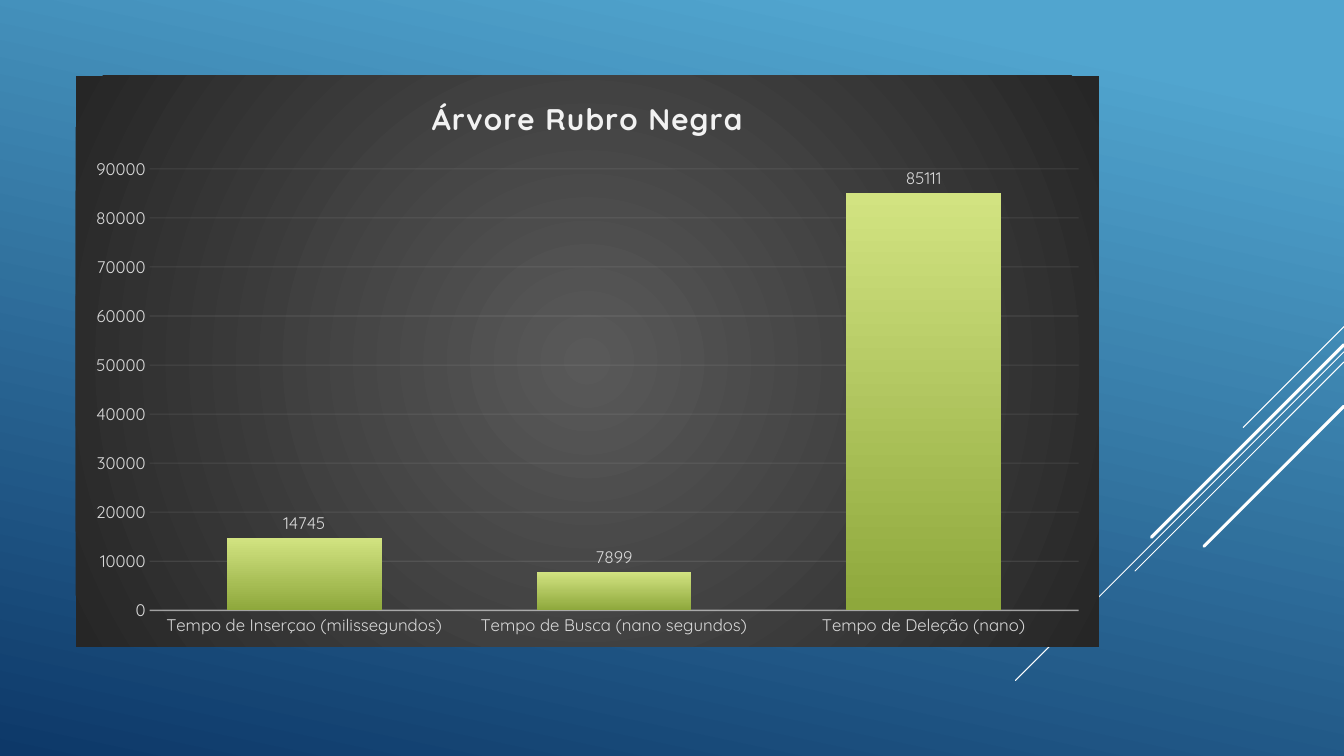
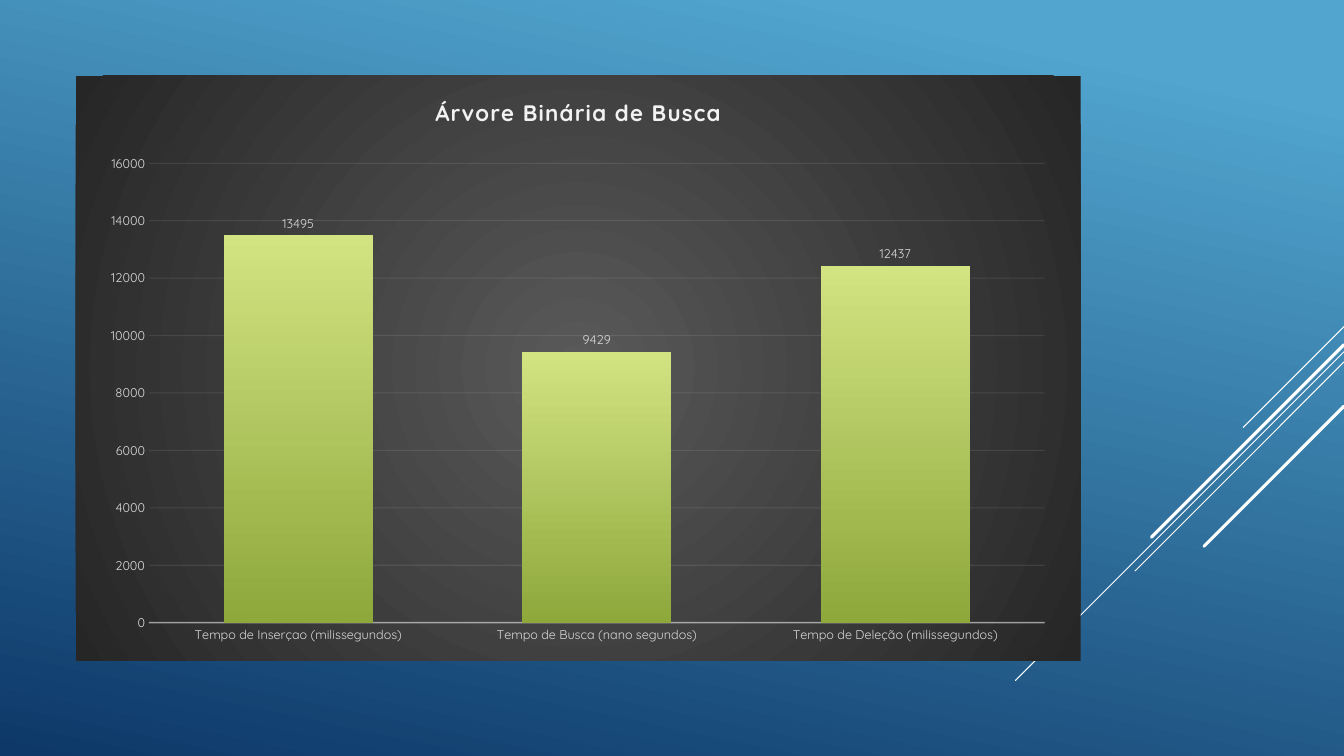
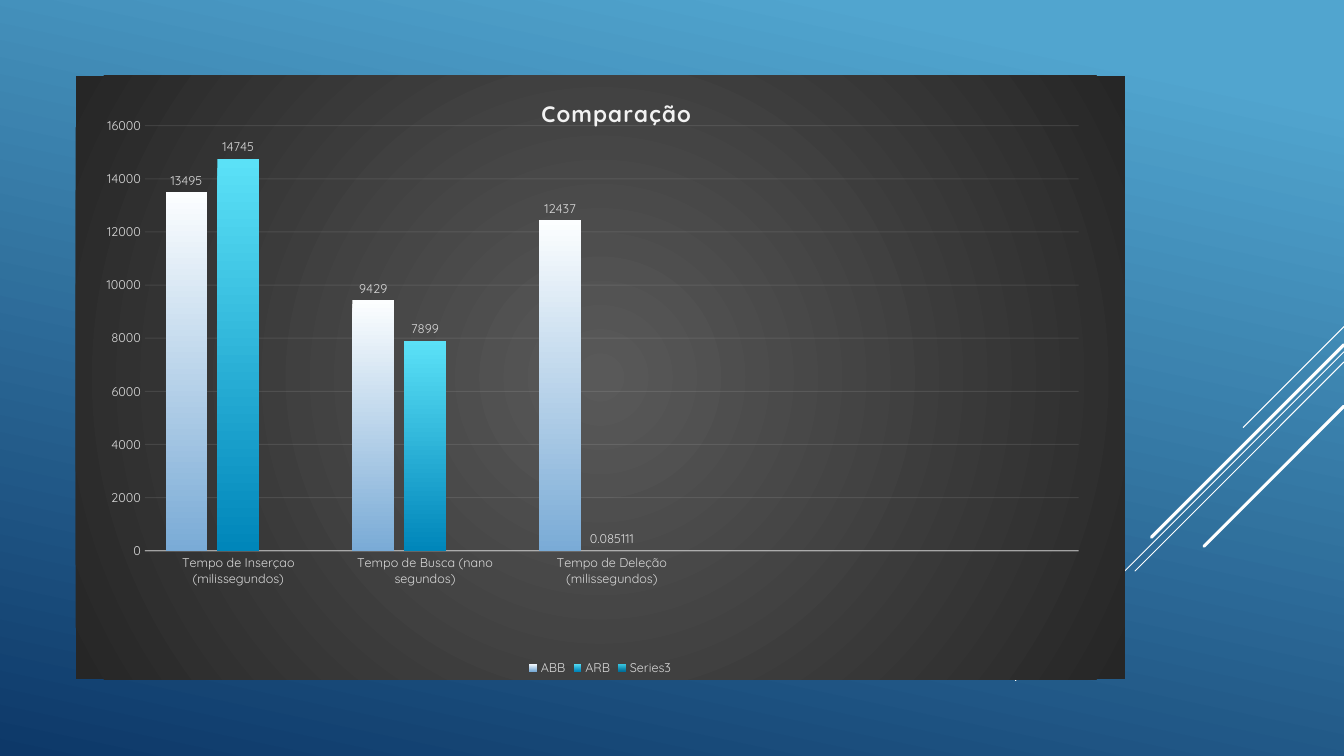
"""Build three chart slides about search tree timings."""
from dataclasses import dataclass

from pptx import Presentation
from pptx import util as u
from pptx.chart import data as cd
from pptx.dml import color as col
from pptx.enum import chart as ec, shapes as es
from pptx.oxml import ns, parse_xml


@dataclass(frozen=True)
class Theme:
    """Colours, fonts and sizes shared by the slides."""
    font: str = "Quicksand"
    white: str = "FFFFFF"
    pale: str = "F2F2F2"
    soft: str = "D9D9D9"
    sky: tuple = ("51A5CF", "0D3868")
    panel: tuple = ("595959", "262626")
    lime: tuple = ("D2E381", "8EA83C")
    ice: tuple = ("FCFEFF", "7AABD6")
    cyan: tuple = ("5BE1F7", "0086BA")
    teal: tuple = ("3ECDE6", "00709A")
    base: float = 10
    small: float = 9
    large: float = 12
    head: float = 16
    big: float = 21.3


T = Theme()
WIDE, HIGH = 960, 540
EDGE = 54
RAYS = [(233.3, 72, 0.75), (251.3, 234.7, 0.75), (258.6, 149.2, 0.75),
        (246.2, 137.5, 2.25), (290.2, 100, 2.25)]
PUT = "Tempo de Inserçao (milissegundos)"
FIND = "Tempo de Busca (nano segundos)"
DROP = "Tempo de Deleção (milissegundos)"


def rgb(code):
    """Turn a hex code into a colour."""
    return col.RGBColor.from_string(code)


def style(font, size, tint=T.soft, bold=False):
    """Set face, size, colour and weight of a font."""
    font.name, font.size, font.bold = T.font, u.Pt(size), bold
    font.color.rgb = rgb(tint)


def fade(fill, pair, turn, start=0.0):
    """Give a fill a linear two-colour gradient, turned clockwise."""
    fill.gradient()
    fill.gradient_angle = 360 - turn
    for stop, tint, spot in zip(fill.gradient_stops, pair, (start, 1.0)):
        stop.color.rgb = rgb(tint)
        stop.position = spot


def ray(slide, tree, num, top, run, width):
    """Draw one diagonal from the right edge and move it to the master."""
    line = slide.shapes.add_connector(
        es.MSO_CONNECTOR.STRAIGHT, u.Pt(WIDE), u.Pt(top),
        u.Pt(WIDE - run), u.Pt(top + run))
    line.line.color.rgb = rgb(T.white)
    line.line.width = u.Pt(width)
    line.element.xpath(".//a:ln")[0].set("cap", "rnd")
    line.element.spPr.append(
        parse_xml(f"<a:effectLst {ns.nsdecls('a')}/>"))
    line.element.xpath(".//p:cNvPr")[0].set("id", str(num))
    tree.append(line.element)


def decor(deck, slide):
    """Put the background and the diagonals on the master."""
    master = deck.slide_master
    fade(master.background.fill, T.sky, 102, 0.1)
    tree = master.element.xpath("./p:cSld/p:spTree")[0]
    for num, spec in enumerate(RAYS, 100):
        ray(slide, tree, num, *spec)


def place(node, spot, keys, inner=False):
    """Fix the layout of a chart part by fractions of the chart."""
    for old in node.findall(ns.qn("c:layout")):
        node.remove(old)
    goal = '<c:layoutTarget val="inner"/>' if inner else ""
    modes = "".join(f'<c:{k}Mode val="edge"/>' for k in "xy")
    sizes = "".join(f'<c:{k} val="{v}"/>' for k, v in zip(keys, spot))
    node.insert(0 if inner else 1, parse_xml(
        f"<c:layout {ns.nsdecls('c')}><c:manualLayout>{goal}{modes}{sizes}"
        "</c:manualLayout></c:layout>"))


def panel(chart):
    """Fill the chart area with the radial gradient."""
    stops = "".join(
        f'<a:gs pos="{pos}"><a:srgbClr val="{tint}"/></a:gs>'
        for pos, tint in zip((0, 100000), T.panel))
    box = " ".join(f'{k}="50000"' for k in "ltrb")
    chart.element.find(ns.qn("c:chart")).addnext(parse_xml(
        f"<c:spPr {ns.nsdecls('c', 'a')}><a:gradFill><a:gsLst>{stops}"
        f'</a:gsLst><a:path path="circle"><a:fillToRect {box}/></a:path>'
        "</a:gradFill><a:ln><a:noFill/></a:ln></c:spPr>"))


def clear(chart, route, share):
    """Set the opacity percentage of a line in the chart."""
    for tint in chart.element.xpath(f".//{route}/c:spPr/a:ln//a:srgbClr"):
        tint.append(parse_xml(
            f'<a:alpha {ns.nsdecls("a")} val="{share * 1000}"/>'))


def axes(chart, size):
    """Format both axes and the gridlines."""
    cat, val = chart.category_axis, chart.value_axis
    for axis in (cat, val):
        axis.major_tick_mark = axis.minor_tick_mark = ec.XL_TICK_MARK.NONE
        style(axis.tick_labels.font, size)
    val.format.line.fill.background()
    for line, width in ((cat.format.line, 1),
                        (val.major_gridlines.format.line, 0.75)):
        line.color.rgb = rgb(T.pale)
        line.width = u.Pt(width)
    clear(chart, "c:catAx", 54)
    clear(chart, "c:majorGridlines", 10)


def title(chart, words, size, spot):
    """Write the chart title."""
    frame = chart.chart_title.text_frame
    frame.text = words
    style(frame.paragraphs[0].runs[0].font, size, T.pale, True)
    for run in chart.element.xpath(".//c:title//a:rPr"):
        run.set("spc", "100")
    chart.chart_title.include_in_layout = False
    if spot:
        place(chart.element.xpath(".//c:title")[0], spot, "xy")


def bars(series, pair, size):
    """Colour one series and label its columns."""
    fade(series.format.fill, pair, 90)
    series.invert_if_negative = False
    tags = series.data_labels
    tags.show_value = True
    tags.position = ec.XL_LABEL_POSITION.OUTSIDE_END
    style(tags.font, size)


def graph(slide, words, size, cats, rows, head, text=T.small,
          plot=None, spot=None):
    """Add a column chart; rows hold name, values and colours."""
    data = cd.CategoryChartData()
    data.categories = cats
    for name, vals, _ in rows:
        data.add_series(name, vals)
    chart = slide.shapes.add_chart(
        ec.XL_CHART_TYPE.COLUMN_CLUSTERED, u.Pt(EDGE), u.Pt(EDGE),
        u.Pt(size[0]), u.Pt(size[1]), data).chart
    style(chart.font, T.base, T.white)
    panel(chart)
    axes(chart, text)
    title(chart, words, head, spot)
    area = chart.plots[0]
    area.gap_width, area.overlap = 100, -24
    area.vary_by_categories = False
    for series, row in zip(area.series, rows):
        bars(series, row[2], text)
    chart.has_legend = len(rows) > 1
    if chart.has_legend:
        chart.legend.position = ec.XL_LEGEND_POSITION.BOTTOM
        chart.legend.include_in_layout = False
        style(chart.legend.font, text)
    if plot:
        place(chart.element.xpath(".//c:plotArea")[0], plot, "xywh", True)


def main():
    """Build and save the deck."""
    deck = Presentation()
    deck.slide_width, deck.slide_height = u.Pt(WIDE), u.Pt(HIGH)
    red, tree, both = [
        deck.slides.add_slide(deck.slide_layouts[6]) for _ in range(3)]
    decor(deck, red)

    name = "Árvore Rubro Negra"
    graph(red, name, (731, 408), [PUT, FIND, "Tempo de Deleção (nano)"],
          [(name, (14745, 7899, 85111), T.lime)], T.big, T.large)

    name = "Árvore Binária de Busca"
    times = (13495, 9429, 12437)
    graph(tree, name, (718, 418), [PUT, FIND, DROP],
          [(name, times, T.lime)], T.head,
          plot=(0.073, 0.15, 0.891, 0.785))

    gap = (None, None)
    graph(both, "Comparação", (749.5, 431.3), [PUT, FIND, DROP, "", ""],
          [("ABB", times + gap, T.ice),
           ("ARB", (14745, 7899, 0.085111) + gap, T.cyan),
           ("Series3", (None,) * 5, T.teal)], T.head,
          plot=(0.066, 0.083, 0.89, 0.704), spot=(0.44, 0.03))
    deck.save("out.pptx")


if __name__ == "__main__":
    main()
